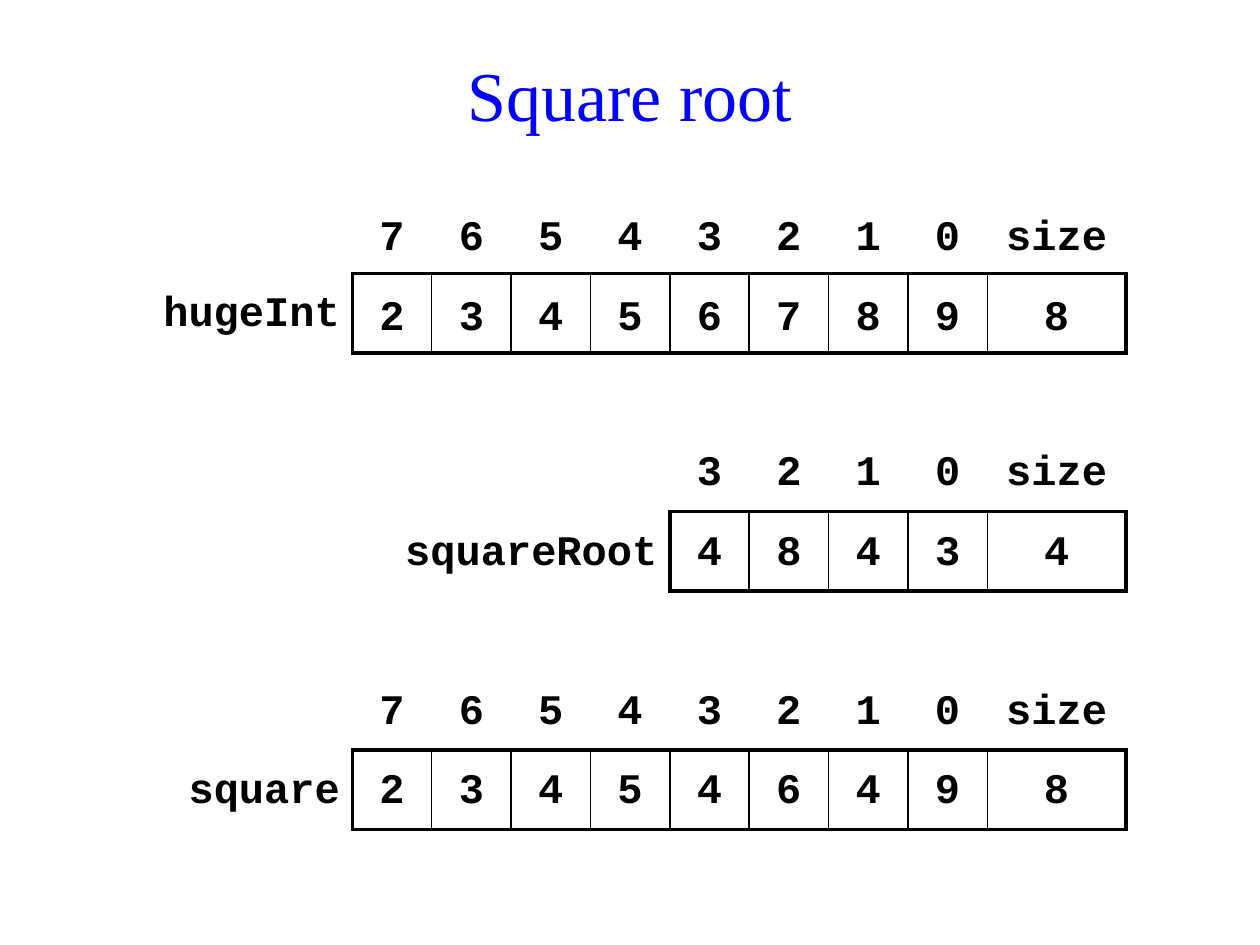
from lxml.etree import SubElement
from pptx import Presentation
from pptx.dml.color import RGBColor
from pptx.enum.text import MSO_ANCHOR, PP_ALIGN
from pptx.oxml.ns import qn
from pptx.util import Pt

BLUE = RGBColor(0x00, 0x00, 0xFF)
BLACK = RGBColor(0x00, 0x00, 0x00)

TITLE_FONT = {"name": "Times New Roman", "size": Pt(40), "bold": False}
CODE_FONT = {"name": "Courier New", "size": Pt(24), "bold": True}
PLAIN_TABLE = "{2D5ABB26-0587-4C30-8999-92F81FD0307C}"

RIGHT_EDGE = 643.4
CELL = 45.36
SIZE_WIDTH = 79.2
FIRST_TOP, TOP_STEP = 110.9, 136.2
THICK, THIN = 2.25, 1

# name, width of the name column, digits, vertical anchor of the digits
ARRAYS = [
    ("hugeInt", 124.6, "23456789", MSO_ANCHOR.MIDDLE),
    ("squareRoot", 158.6, "4843", MSO_ANCHOR.TOP),
    ("square", 102.2, "23454649", MSO_ANCHOR.TOP),
]


def apply_format(target, values):
    """Set each attribute named in values on target."""
    for name, value in values.items():
        setattr(target, name, value)


def write_text(frame, text, font, color, align, spacing=None):
    """Put one formatted paragraph into a text frame."""
    para = frame.paragraphs[0]
    apply_format(para, {"alignment": align, "line_spacing": spacing})
    span = para.add_run()
    span.text = text
    apply_format(span.font, font)
    span.font.color.rgb = color


def set_borders(cell, widths):
    """Draw the given cell sides; widths maps L, R, T, B to points."""
    properties = cell._tc.get_or_add_tcPr()
    for side in "LRTB":
        if side in widths:
            line = SubElement(properties, qn(f"a:ln{side}"), w=str(Pt(widths[side])))
            fill = SubElement(line, qn("a:solidFill"))
            SubElement(fill, qn("a:srgbClr"), val=str(BLACK))


def fill_cell(cell, text, align, anchor, widths):
    """Write, align and border one table cell."""
    set_borders(cell, widths)
    cell.fill.background()
    cell.vertical_anchor = anchor
    if text:
        write_text(cell.text_frame, text, CODE_FONT, BLACK, align, 1.25)


def value_borders(column, last):
    """Return the borders of a value cell: thick outside, thin inside."""
    return {
        "L": THICK if column == 1 else THIN,
        "R": THICK if column == last else THIN,
        "T": THICK,
        "B": THICK,
    }


def add_array(page, top, name, name_width, digits, anchor):
    """Add an array as a table with indices above its values."""
    count = len(digits)
    widths = [name_width] + [CELL] * count + [SIZE_WIDTH]
    total = sum(widths)
    table = page.shapes.add_table(
        2, count + 2, Pt(RIGHT_EDGE - total), Pt(top), Pt(total), Pt(2 * CELL)
    ).table
    apply_format(table, {"first_row": False, "horz_banding": False})
    table._tbl.tblPr.find(qn("a:tableStyleId")).text = PLAIN_TABLE
    for column, width in zip(table.columns, widths):
        column.width = Pt(width)
    for row in table.rows:
        row.height = Pt(CELL)

    table.cell(1, 0).margin_left = Pt(0)
    fill_cell(table.cell(0, 0), "", PP_ALIGN.RIGHT, MSO_ANCHOR.TOP, {})
    fill_cell(table.cell(1, 0), name, PP_ALIGN.RIGHT, MSO_ANCHOR.TOP, {"R": THICK})

    indices = [str(index) for index in reversed(range(count))] + ["size"]
    values = list(digits) + [str(count)]
    for column, (index, value) in enumerate(zip(indices, values), start=1):
        fill_cell(table.cell(0, column), index, PP_ALIGN.CENTER, anchor, {"B": THICK})
        fill_cell(table.cell(1, column), value, PP_ALIGN.CENTER, anchor,
                  value_borders(column, count + 1))


def add_title(page, text):
    """Place and format the title placeholder."""
    box = page.shapes.title
    apply_format(box, {"left": Pt(42.5), "top": Pt(20.2),
                       "width": Pt(635), "height": Pt(67)})
    box.text_frame.vertical_anchor = MSO_ANCHOR.MIDDLE
    write_text(box.text_frame, text, TITLE_FONT, BLUE, PP_ALIGN.CENTER)


def main():
    """Build the slide and save it."""
    deck = Presentation()
    apply_format(deck, {"slide_width": Pt(720), "slide_height": Pt(540)})
    page = deck.slides.add_slide(deck.slide_layouts[5])
    add_title(page, "Square root")
    for number, array in enumerate(ARRAYS):
        add_array(page, FIRST_TOP + number * TOP_STEP, *array)
    deck.save("out.pptx")


main()
